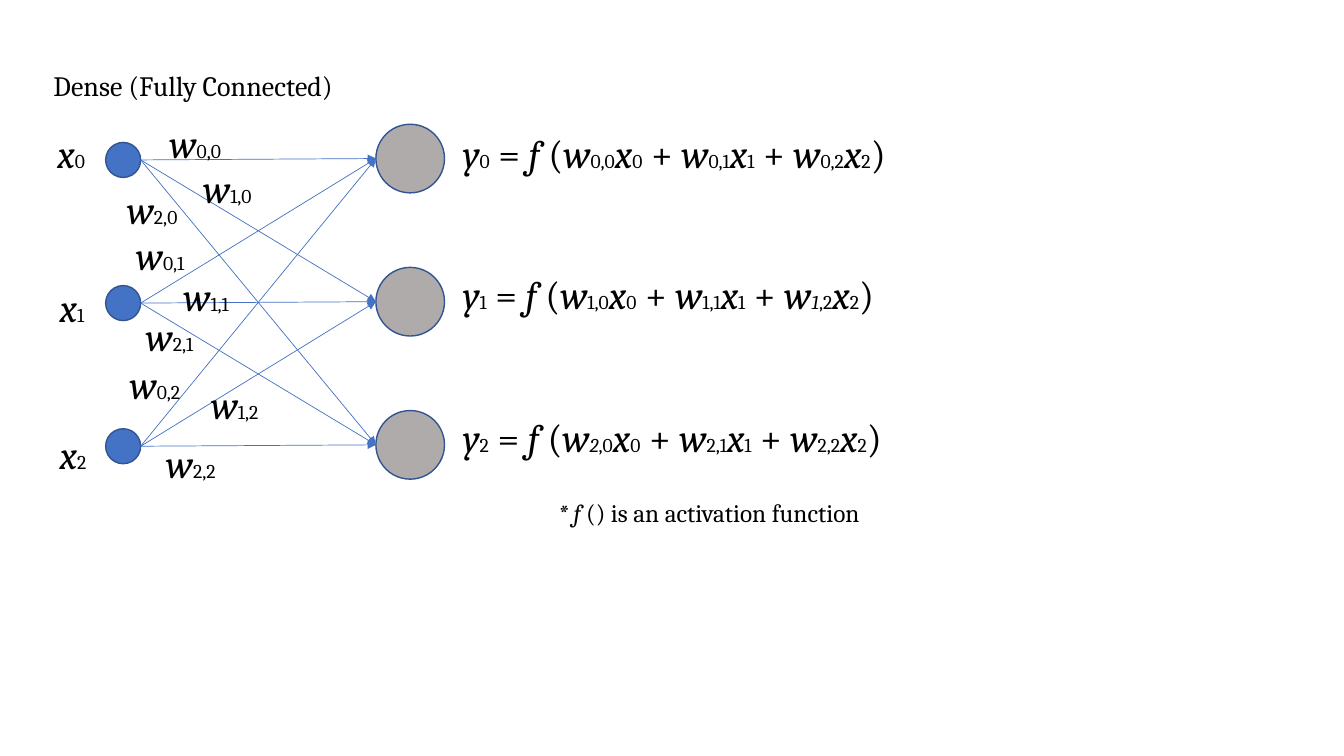
import pptx
import pptx.util
import pptx.dml.color
import pptx.enum.shapes
import pptx.enum.text
import pptx.oxml
import pptx.oxml.ns

Pt = pptx.util.Pt
RGB = pptx.dml.color.RGBColor
KIND = pptx.enum.shapes.MSO_SHAPE
LINK = pptx.enum.shapes.MSO_CONNECTOR
FIT = pptx.enum.text.MSO_AUTO_SIZE
TOP = pptx.enum.text.MSO_ANCHOR.TOP
LEFT = pptx.enum.text.PP_ALIGN.LEFT
BLUE = RGB(0x44, 0x72, 0xC4)
NAVY = RGB(0x32, 0x54, 0x91)
GRAY = RGB(0xAF, 0xAB, 0xAB)
BLACK = RGB(0, 0, 0)
FONT = "Cambria"

deck = pptx.Presentation()
deck.slide_width, deck.slide_height = Pt(960), Pt(540)
slide = deck.slides.add_slide(deck.slide_layouts[5])
shapes = slide.shapes


def write(text, left, top, width, height=41, size=28, wrap=False, box=None):
    """Write runs split by |; first mark: / italic, = upright, _ sub, ~ italic sub."""
    box = box or shapes.add_textbox(0, 0, 0, 0)
    box.left, box.top, box.width, box.height = map(Pt, (left, top, width, height))
    frame = box.text_frame
    frame.word_wrap = wrap
    frame.auto_size = FIT.SHAPE_TO_FIT_TEXT
    frame.vertical_anchor = TOP
    line = frame.paragraphs[0]
    line.alignment = LEFT
    for part in text.split("|"):
        run = line.add_run()
        run.text = part[1:]
        run.font.name = FONT
        run.font.size = Pt(14 if part[0] in "_~" else size)
        run.font.italic = part[0] in "/~"
        run.font.color.rgb = BLACK


write("=Dense (Fully Connected)", 31, 45.5, 266, 32, size=20, wrap=True,
      box=shapes.title)

# Nodes: a column of inputs and a column of outputs, three rows each
PITCH = 102.25
in_left, in_size, in_mid = 75.5, 25, 114.25
out_left, out_size, out_mid = 268.5, 49, 113.25
for left, size, mid, fill in ((in_left, in_size, in_mid, BLUE),
                              (out_left, out_size, out_mid, GRAY)):
    for row in range(3):
        top = mid + row * PITCH - size / 2
        node = shapes.add_shape(KIND.OVAL, Pt(left), Pt(top), Pt(size), Pt(size))
        node.shadow.inherit = False
        node.fill.solid()
        node.fill.fore_color.rgb = fill
        node.line.color.rgb = NAVY
        node.line.width = Pt(1)

# Every input feeds every output
for i in range(3):
    for o in range(3):
        edge = shapes.add_connector(
            LINK.STRAIGHT, Pt(in_left + in_size), Pt(in_mid + i * PITCH),
            Pt(out_left), Pt(out_mid + o * PITCH))
        edge.line.color.rgb = BLUE
        edge.line.width = Pt(0.5)
        tip = pptx.oxml.parse_xml(
            '<a:tailEnd %s type="triangle"/>' % pptx.oxml.ns.nsdecls("a"))
        edge.line._get_or_add_ln().append(tip)
        props = edge._element.spPr
        props.append(props.makeelement(pptx.oxml.ns.qn("a:effectLst"), {}))

# Input names
for i, (left, top) in enumerate(((34, 88.5), (35.5, 198.5), (35.5, 304))):
    write(f"/x|_{i}", left, top, 36)

# Weight names, one row of places per output
places = (((114, 82), (90, 162), (85.5, 253.5)),
          ((138, 114), (124, 191), (143.5, 268)),
          ((83.5, 129), (97, 219.5), (111.5, 310.5)))
for o, spots in enumerate(places):
    for i, (left, top) in enumerate(spots):
        write(f"/w|_{o},{i}", left, top, 52.5)

# Output formulas; two of the subscripts have an italic first digit
slant = {"_1,2": "~1|_,2", "_2,0": "~2|_,0"}
for o, top in enumerate((88.5, 189.5, 291.5)):
    terms = []
    for i in range(3):
        sub = f"_{o},{i}"
        terms.append(f"/w|{slant.get(sub, sub)}|/x|_{i}")
    total = "|= + |".join(terms)
    write(f"/y|_{o}|= = |/f |=(|{total}|=)", 323.5, top, 341)

write("/* f |=() is an activation function", 391.5, 352, 245.5, 29, size=18)

deck.save("out.pptx")
